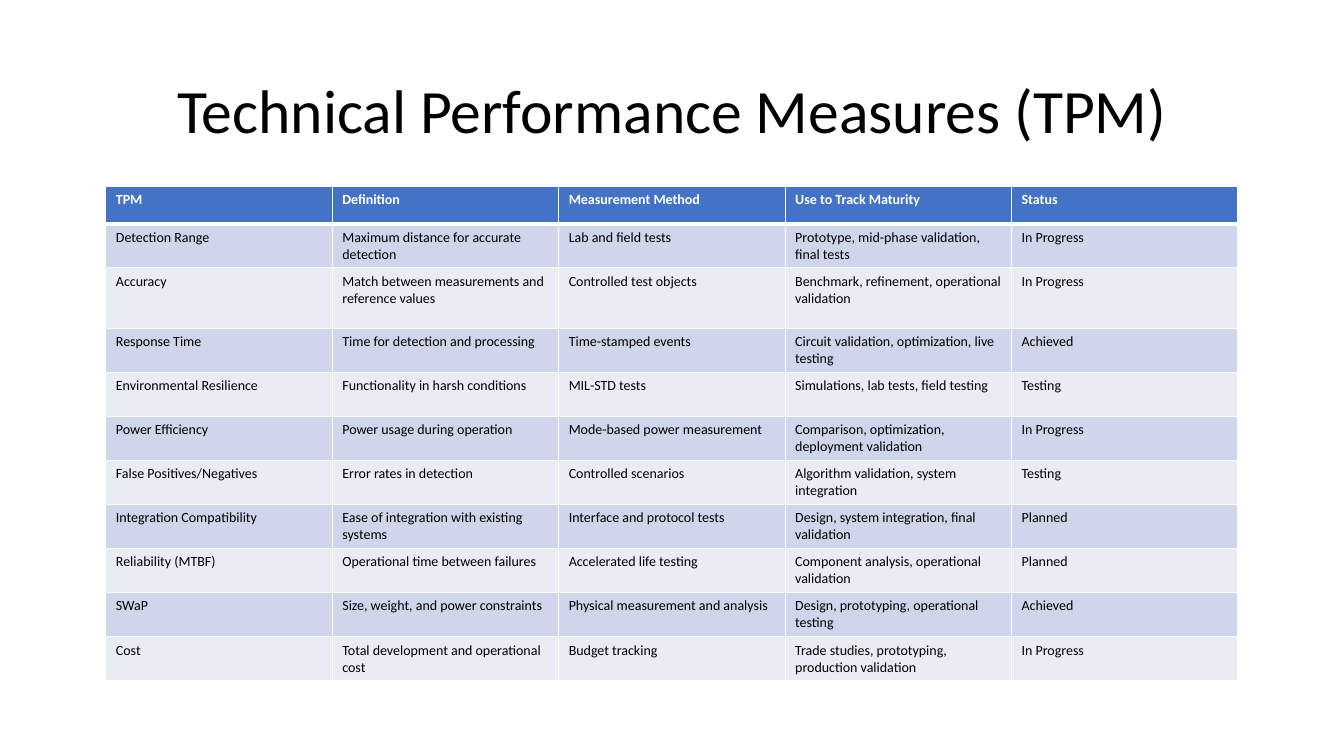
from lxml.etree import SubElement
from pptx import Presentation
from pptx.dml.color import RGBColor
from pptx.enum.text import MSO_ANCHOR, PP_ALIGN
from pptx.oxml.ns import qn
from pptx.util import Inches, Pt

COLORS = {"header": "4472C4", "odd": "CFD5EA", "even": "E9EBF5",
          "light": "FFFFFF", "dark": "000000"}
FONT = "Calibri"
MEASURES = [
    ("TPM", "Definition", "Measurement Method", "Use to Track Maturity", "Status"),
    ("Detection Range", "Maximum distance for accurate detection",
     "Lab and field tests", "Prototype, mid-phase validation, final tests", "In Progress"),
    ("Accuracy", "Match between measurements and reference values",
     "Controlled test objects", "Benchmark, refinement, operational validation", "In Progress"),
    ("Response Time", "Time for detection and processing",
     "Time-stamped events", "Circuit validation, optimization, live testing", "Achieved"),
    ("Environmental Resilience", "Functionality in harsh conditions",
     "MIL-STD tests", "Simulations, lab tests, field testing", "Testing"),
    ("Power Efficiency", "Power usage during operation",
     "Mode-based power measurement", "Comparison, optimization, deployment validation",
     "In Progress"),
    ("False Positives/Negatives", "Error rates in detection",
     "Controlled scenarios", "Algorithm validation, system integration", "Testing"),
    ("Integration Compatibility", "Ease of integration with existing systems",
     "Interface and protocol tests", "Design, system integration, final validation", "Planned"),
    ("Reliability (MTBF)", "Operational time between failures",
     "Accelerated life testing", "Component analysis, operational validation", "Planned"),
    ("SWaP", "Size, weight, and power constraints",
     "Physical measurement and analysis", "Design, prototyping, operational testing", "Achieved"),
    ("Cost", "Total development and operational cost",
     "Budget tracking", "Trade studies, prototyping, production validation", "In Progress"),
]
TABLE_WIDTH, TABLE_HEIGHT = 11.23, 4.89
SPECIAL_HEIGHTS = {0: 0.37, 2: 0.6}
ROW_HEIGHT = ((TABLE_HEIGHT - sum(SPECIAL_HEIGHTS.values()))
              / (len(MEASURES) - len(SPECIAL_HEIGHTS)))


def style_font(font, size, color, bold=False):
    font.name, font.size, font.bold = FONT, Pt(size), bold
    font.color.rgb = RGBColor.from_string(COLORS[color])


def add_border(cell, side, width):
    """Draw one light cell edge; call before the cell is filled."""
    line = SubElement(cell._tc.get_or_add_tcPr(), qn(f"a:ln{side}"), w=str(Pt(width)))
    fill = SubElement(line, qn("a:solidFill"))
    SubElement(fill, qn("a:srgbClr"), val=COLORS["light"])


presentation = Presentation()
presentation.slide_width, presentation.slide_height = Inches(13.33), Inches(7.5)
slide = presentation.slides.add_slide(presentation.slide_layouts[5])

title = slide.shapes.title
title.left, title.top = Inches(0.82), Inches(0.4)
title.width, title.height = Inches(11.7), Inches(1.45)
title.text_frame.text = "Technical Performance Measures (TPM)"
title.text_frame.vertical_anchor = MSO_ANCHOR.MIDDLE
heading = title.text_frame.paragraphs[0]
heading.alignment, heading.line_spacing = PP_ALIGN.CENTER, 0.9
style_font(heading.font, 44, "dark")

table = slide.shapes.add_table(
    len(MEASURES), len(MEASURES[0]), Inches(1.05), Inches(1.85),
    Inches(TABLE_WIDTH), Inches(TABLE_HEIGHT)).table

for row, measure in enumerate(MEASURES):
    table.rows[row].height = Inches(SPECIAL_HEIGHTS.get(row, ROW_HEIGHT))
    is_header = row == 0
    band = "header" if is_header else "odd" if row % 2 else "even"
    for column, wording in enumerate(measure):
        cell = table.cell(row, column)
        cell.text = wording
        style_font(cell.text_frame.paragraphs[0].font, 10,
                   "light" if is_header else "dark", is_header)
        for side in "LRTB":
            thick = (row, side) in ((0, "B"), (1, "T"))
            add_border(cell, side, 3 if thick else 1)
        cell.fill.solid()
        cell.fill.fore_color.rgb = RGBColor.from_string(COLORS[band])

presentation.save("out.pptx")
